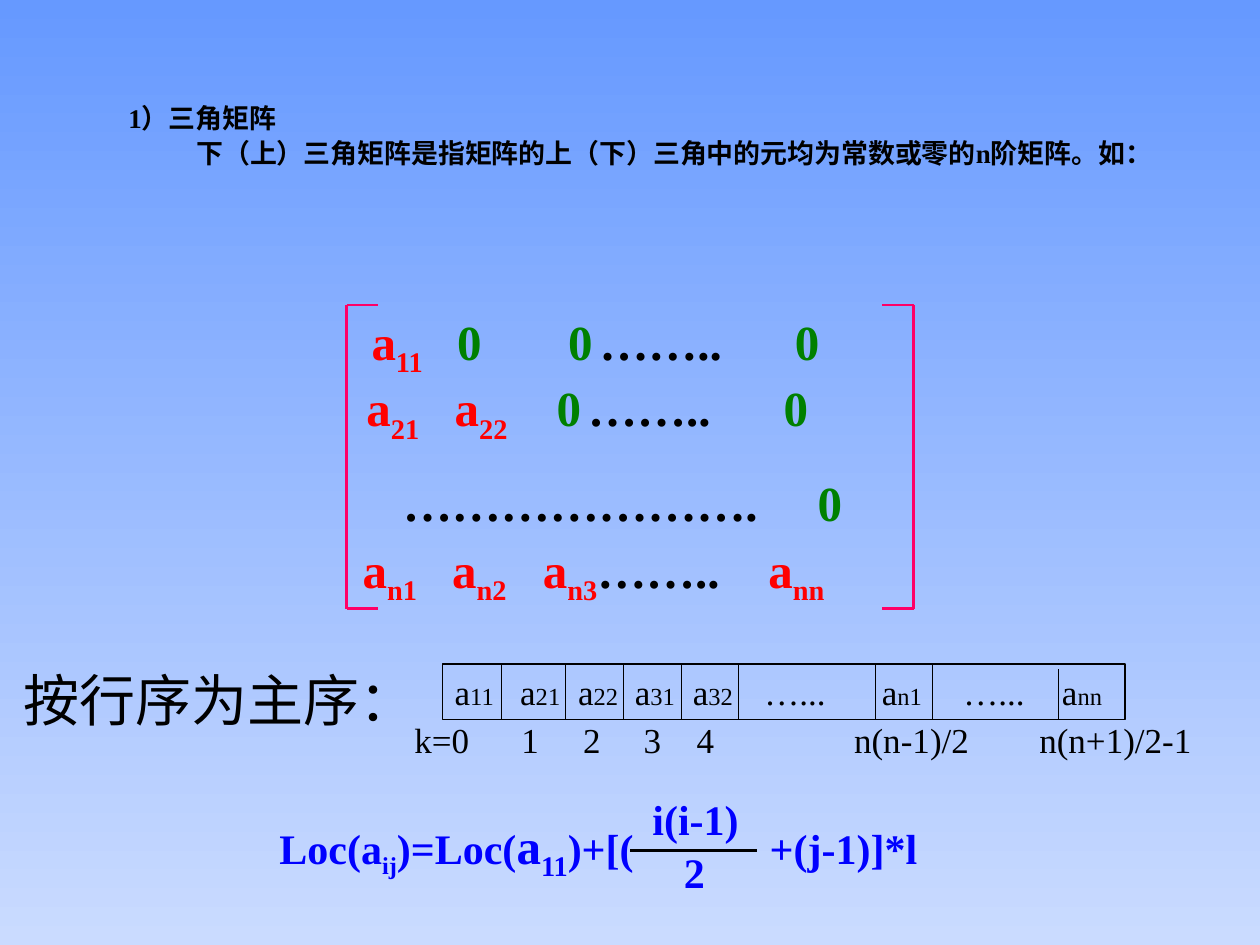
from lxml.etree import SubElement as Sub
from pptx import Presentation
from pptx.dml.color import RGBColor as Rgb
from pptx.enum.shapes import MSO_CONNECTOR as Link, MSO_SHAPE as Shape
from pptx.enum.text import MSO_ANCHOR as Anchor, PP_ALIGN as Align
from pptx.oxml.ns import qn
from pptx.util import Inches, Pt

INK = {"black": "000000", "red": "FF0000", "green": "008000",
       "blue": "0000FF", "pink": "FF0066", "sky": "6699FF", "pale": "CADBFF"}
FONT = "Times New Roman"


def tint(name):
    """Return the named colour."""
    return Rgb.from_string(INK[name])


def line(slide, x1, y1, x2, y2, ink="black", width=0.75):
    """Draw a straight line."""
    rule = slide.shapes.add_connector(Link.STRAIGHT, *map(Inches, (x1, y1, x2, y2)))
    rule.line.color.rgb = tint(ink)
    rule.line.width = Pt(width)
    Sub(rule._element.spPr, qn("a:effectLst"))


def write(para, runs, size, ink="black", bold=False, tabs=()):
    """Fill a paragraph with (text, colour, size, lowered) runs."""
    if tabs:
        stops = Sub(para._p.get_or_add_pPr(), qn("a:tabLst"))
        for pos in tabs:
            Sub(stops, qn("a:tab"), pos=str(Inches(pos)), algn="l")
    para.font.name, para.font.bold = FONT, bold
    if all(len(part) < 3 or part[2] is None for part in runs):
        para.font.size = Pt(size)
        size = None
    if all(len(part) < 2 for part in runs):
        para.font.color.rgb = tint(ink)
        ink = None
    for part in runs:
        text, hue, high, low = (*part, None, None, None)[:4]
        run = para.add_run()
        run.text = text
        if ink:
            run.font.color.rgb = tint(hue or ink)
        if size:
            run.font.size = Pt(high or size)
        if low:
            run._r.get_or_add_rPr().set("baseline", "-25000")


def label(slide, box, runs, size, anchor=Anchor.TOP, align=Align.LEFT, wrap=True, **style):
    """Add a one-line text box."""
    frame = slide.shapes.add_textbox(*map(Inches, box)).text_frame
    frame.word_wrap, frame.vertical_anchor = wrap, anchor
    para = frame.paragraphs[0]
    para.alignment = align
    write(para, runs, size, **style)


def intro(slide, x, y, wide, high):
    """Place the heading and the definition."""
    frame = slide.shapes.add_textbox(*map(Inches, (x, y, wide, high))).text_frame
    frame.word_wrap = True
    lines = [("1）三角矩阵", 0.5),
             ("下（上）三角矩阵是指矩阵的上（下）三角中的元均为常数或零的n阶矩阵。如：", 1.04)]
    for num, (text, left) in enumerate(lines):
        para = frame.add_paragraph() if num else frame.paragraphs[0]
        para._p.get_or_add_pPr().set("marL", str(Inches(left)))
        para.line_spacing = 0.7
        if num:
            para.space_before = Pt(7)
        write(para, [(text,)], 15.4, bold=True)


def term(sub, lead="\t"):
    """Return the runs of one red matrix element."""
    return [(lead + "a", "red"), (sub, "red", None, True)]


def matrix(slide, x, y, wide, high):
    """Place the bracketed lower triangular matrix."""
    zero, dots = ("\t0", "green"), ("\t……..", "black")
    rows = [
        (0, [*term("11"), zero, zero, dots, zero], (1.02, 1.7, 2.58, 2.83, 4.38)),
        (0.53, [*term("21"), *term("22"), zero, dots, zero], (0.98, 1.68, 2.49, 2.74, 4.29)),
        (1.28, [("\t………………….", "black"), zero], (1.27, 4.56)),
        (1.81, [*term("n1"), *term("n2"), *term("n3"), ("……..", "black"), *term("nn")],
         (0.95, 1.66, 2.38, 4.17)),
    ]
    for down, runs, tabs in rows:
        label(slide, (x - 0.92, y + down, 5.75, 0.63), runs, 28, bold=True, tabs=tabs)
    for side, arm in ((x, 0.25), (x + wide, -0.25)):
        line(slide, side, y, side, y + high, "pink", 1.5)
        for edge in (y, y + high):
            line(slide, side, edge, side + arm, edge, "pink", 1.5)


def store(slide, x, y, wide, high):
    """Place the row-order storage strip with its indices."""
    strip = slide.shapes.add_shape(Shape.RECTANGLE, *map(Inches, (x, y, wide, high)))
    strip.shadow.inherit = False
    strip.fill.background()
    strip.line.color.rgb = tint("black")
    strip.line.width = Pt(0.75)
    frame = strip.text_frame
    frame.word_wrap, frame.vertical_anchor = False, Anchor.MIDDLE
    para = frame.paragraphs[0]
    para.alignment = Align.LEFT
    runs = []
    for num, sub in enumerate(("11", "21", "22", "31", "32", "n1", "nn")):
        runs += [("\ta" if num else "a", None, 20), (sub, None, 14)]
    write(para, runs, 20, tabs=(0.52, 0.98, 1.43, 1.89, 3.39, 4.82))
    for across in (0.47, 0.98, 1.44, 1.9, 2.35, 3.44, 3.89):
        line(slide, x + across, y, x + across, y + high)
    line(slide, x + 4.89, y + 0.04, x + 4.89, y + high)
    mid = {"anchor": Anchor.MIDDLE, "wrap": False}
    for across in (2.36, 3.94):
        label(slide, (x + across, y, 0.88, high), [("…...",)], 20, align=Align.CENTER, **mid)
    label(slide, (x - 0.32, y + 0.38, 6.44, high),
          [("k=0\t1\t2\t3\t4\tn(n-1)/2\tn(n+1)/2-1",)], 20,
          tabs=(0.85, 1.34, 1.82, 2.24, 3.49, 4.96), **mid)
    label(slide, (x - 3.52, y - 0.04, 3.51, 0.64), [("按行序为主序：",)], 32,
          align=Align.CENTER, **mid)


def formula(slide, x, y, wide, high):
    """Place the address formula with its fraction."""
    runs = [("Loc(a", None, 24), ("ij", None, 24, True), (")=Loc(", None, 24),
            ("a", None, 28), ("11", None, 28, True), (")+[(\t+(j-1)]*l", None, 24)]
    style = {"ink": "blue", "bold": True}
    label(slide, (x, y + 0.17, wide, 0.63), runs, 24, wrap=False, tabs=(3.89,), **style)
    line(slide, x + 2.88, y + 0.5, x + 3.89, y + 0.5, width=2.25)
    label(slide, (x + 2.96, y, 0.92, 0.5), [("i(i-1)",)], 24, wrap=False, **style)
    label(slide, (x + 3.21, y + 0.42, 0.55, 0.5), [("2",)], 24, **style)


def main():
    """Build and save the slide."""
    deck = Presentation()
    deck.slide_width, deck.slide_height = Inches(10), Inches(7.5)
    slide = deck.slides.add_slide(deck.slide_layouts[6])
    fill = slide.background.fill
    fill.gradient()
    fill.gradient_angle = 270
    for stop, name in zip(fill.gradient_stops, ("sky", "pale")):
        stop.color.rgb = tint(name)
    intro(slide, 0.42, 0.83, 9.3, 0.65)
    matrix(slide, 2.75, 2.42, 4.5, 2.41)
    store(slide, 3.51, 5.27, 5.42, 0.44)
    formula(slide, 2.12, 6.25, 5.33, 0.92)
    deck.save("out.pptx")


if __name__ == "__main__":
    main()
